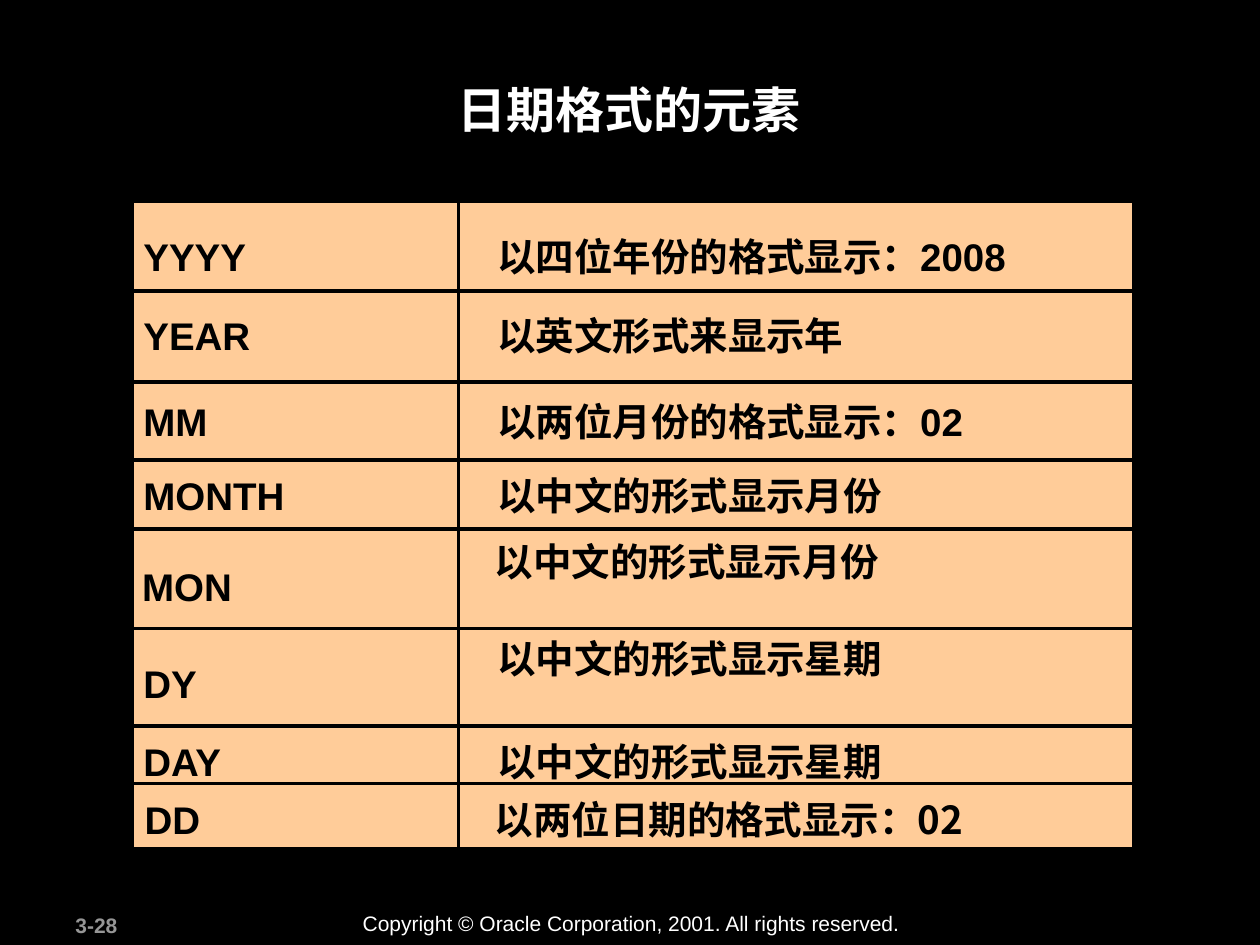
import pptx
import pptx.dml.color
import pptx.enum.shapes
import pptx.enum.text
import pptx.oxml.ns
import pptx.util
from lxml import etree

Inches = pptx.util.Inches
COLORS = {"black": "000000", "white": "FFFFFF", "peach": "FFCC99", "gray": "969696"}
LATIN = "Arial"
CJK = "Noto Sans CJK SC"


def rgb(name):
    return pptx.dml.color.RGBColor.from_string(COLORS[name])


class SlideBuilder:
    def __init__(self, slide):
        self.slide = slide
        self.line_width = pptx.util.Pt(2)
        slide.background.fill.solid()
        slide.background.fill.fore_color.rgb = rgb("black")

    def panel(self, left, top, width, height):
        panel = self.slide.shapes.add_shape(
            pptx.enum.shapes.MSO_SHAPE.RECTANGLE,
            Inches(left), Inches(top), Inches(width), Inches(height))
        panel.shadow.inherit = False
        panel.fill.solid()
        panel.fill.fore_color.rgb = rgb("peach")
        panel.line.color.rgb = rgb("black")
        panel.line.width = self.line_width

    def rule(self, left, right, y):
        rule = self.slide.shapes.add_connector(
            pptx.enum.shapes.MSO_CONNECTOR.STRAIGHT,
            Inches(left), Inches(y), Inches(right), Inches(y))
        rule.line.color.rgb = rgb("black")
        rule.line.width = self.line_width
        etree.SubElement(rule._element.spPr, pptx.oxml.ns.qn("a:effectLst"))

    def text(self, words, left, top, width, height, size=22, color="black",
             bold=True, font=LATIN, centered=False, grow=True):
        box = self.slide.shapes.add_textbox(
            Inches(left), Inches(top), Inches(width), Inches(height))
        frame = box.text_frame
        frame.word_wrap = True
        sizes = pptx.enum.text.MSO_AUTO_SIZE
        frame.auto_size = sizes.SHAPE_TO_FIT_TEXT if grow else sizes.NONE
        paragraph = frame.paragraphs[0]
        if centered:
            paragraph.alignment = pptx.enum.text.PP_ALIGN.CENTER
        run = paragraph.add_run()
        run.text = words
        run.font.size = pptx.util.Pt(size)
        run.font.bold = bold
        run.font.name = font
        run.font.color.rgb = rgb(color)
        # East Asian typeface for the Chinese characters
        etree.SubElement(run._r.get_or_add_rPr(), pptx.oxml.ns.qn("a:ea"), typeface=CJK)


def main():
    deck = pptx.Presentation()
    deck.slide_width, deck.slide_height = Inches(10), Inches(7.5)
    builder = SlideBuilder(deck.slides.add_slide(deck.slide_layouts[6]))

    # Footer and title
    builder.text("3-28", 0.5, 7.19, 1.05, 0.3, size=12, color="gray")
    builder.text("Copyright © Oracle Corporation, 2001. All rights reserved.",
                 2.78, 7.18, 4.48, 0.3, size=12, color="white", bold=False)
    builder.text("日期格式的元素", 0.94, 0.58, 8.1, 0.96, size=28, color="white",
                 centered=True, grow=False)

    # Two column panels; the right one overlaps the left
    builder.panel(1.05, 1.6, 3.97, 5.14)
    builder.panel(3.64, 1.6, 5.36, 5.14)

    # Row dividers
    for y in (2.31, 3.03, 3.65, 4.2, 4.99, 5.76, 6.22):
        builder.rule(1.04, 9, y)

    # Format element (left, top), then its meaning (left, top, font)
    rows = [
        ("YYYY", 1.04, 1.8, "以四位年份的格式显示：2008", 3.85, 1.8, LATIN),
        ("YEAR", 1.04, 2.43, "以英文形式来显示年", 3.85, 2.43, LATIN),
        ("MM", 1.04, 3.11, "以两位月份的格式显示：02", 3.85, 3.11, LATIN),
        ("MONTH", 1.04, 3.7, "以中文的形式显示月份", 3.85, 3.7, CJK),
        ("MON", 1.03, 4.42, "以中文的形式显示月份", 3.83, 4.22, CJK),
        ("DY", 1.04, 5.19, "以中文的形式显示星期", 3.85, 4.99, CJK),
        ("DAY", 1.04, 5.81, "以中文的形式显示星期", 3.85, 5.81, CJK),
        ("DD", 1.05, 6.27, "以两位日期的格式显示：02", 3.83, 6.27, CJK),
    ]
    for element, left, top, meaning, meaning_left, meaning_top, font in rows:
        builder.text(element, left, top, 2.02 if element == "DD" else 4.01, 0.47)
        builder.text(meaning, meaning_left, meaning_top, 5.12, 0.47, font=font)

    deck.save("out.pptx")


if __name__ == "__main__":
    main()
